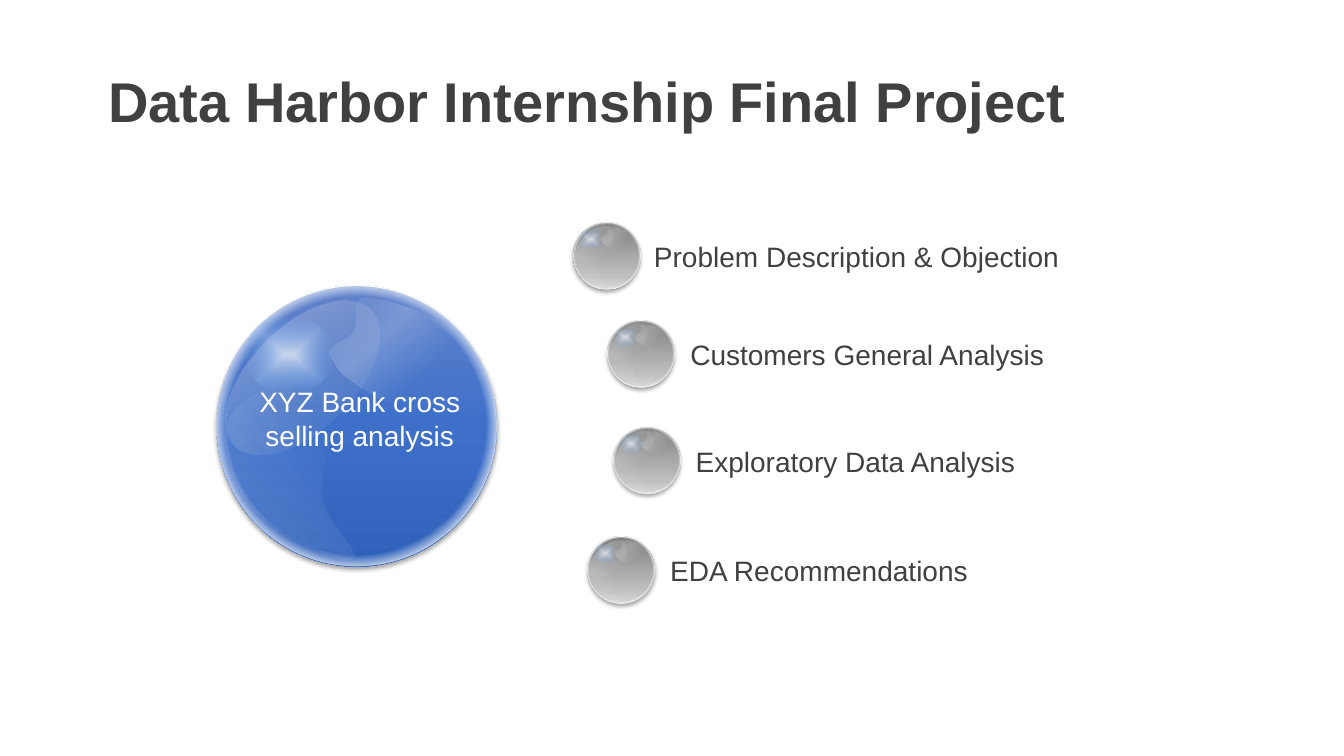
"""Build a title slide with one large glass ball and four bulleted topics."""
from dataclasses import dataclass
from typing import NamedTuple, Optional

from pptx import Presentation
from pptx.dml.color import RGBColor as RGB
from pptx.enum.shapes import MSO_SHAPE as Kind
from pptx.enum.text import MSO_AUTO_SIZE as Fit, PP_ALIGN as Align
from pptx.oxml import parse_xml
from pptx.oxml.ns import nsdecls, qn
from pptx.util import Pt

Point = tuple[float, float]


class Stop(NamedTuple):
    """Give a colour its place and opacity in percent."""
    pos: int
    color: str
    alpha: int = 100


@dataclass(frozen=True)
class Blend:
    """Describe a linear gradient, or a path one with its focus box."""
    stops: tuple[Stop, ...]
    angle: int = 90
    mode: str = ""
    focus: tuple[int, int, int, int] = (50, 50, 50, 50)


@dataclass(frozen=True)
class Theme:
    """Keep the colours and type sizes of the slide."""
    font: str = "Arial"
    ink: str = "404040"
    white: str = "FFFFFF"
    black: str = "000000"
    edge: str = "4472C4"
    head: int = 40
    body: int = 20
    blue: Blend = Blend((Stop(0, "6183CB"), Stop(50, "3E70CA"), Stop(100, "3062BB")))
    gray: Blend = Blend((Stop(0, "808080"), Stop(80, "BFBFBF"), Stop(100, "D9D9D9")))
    rim: Blend = Blend((Stop(0, "FFFFFF", 0), Stop(65, "FFFFFF", 0),
                        Stop(74, "FFFFFF")), mode="circle")
    sheen: Blend = Blend((Stop(0, "FFFFFF", 33), Stop(100, "B6B6B6", 0)))
    glint: Blend = Blend((Stop(0, "FFFFFF", 65), Stop(100, "67ABF5", 0)), mode="shape")
    wisp: Blend = Blend((Stop(50, "FFFFFF", 0), Stop(74, "FFFFFF", 19),
                         Stop(100, "FFFFFF", 0)), mode="circle", focus=(100, 100, 0, 0))
    swirl: Blend = Blend((Stop(0, "FFFFFF", 0), Stop(28, "FFFFFF", 0),
                          Stop(74, "FFFFFF", 11)), angle=142)
    glow: Blend = Blend((Stop(0, "FFFFFF", 33), Stop(20, "B6B6B6", 0)))


class Layer(NamedTuple):
    """Place one gloss layer on a ball 200 points wide."""
    blend: Blend
    box: tuple[float, ...] = ()
    turn: int = 0
    curve: tuple[Point, ...] = ()
    rim: bool = False


class Topic(NamedTuple):
    """Place one small ball and its label."""
    text: str
    left: float
    top: float
    start: float
    width: float


LOOK = Theme()
BASE = 200
SMALL = 47.7
WISP = (
    (106, 8), (95, 9), (102, 24), (98, 32), (95, 40), (72, 41), (84, 54),
    (88, 71), (152, 94), (158, 114), (165, 134), (159, 135), (166, 132),
    (172, 130), (195, 117), (195, 99), (195, 83), (181, 47), (166, 32),
    (152, 17), (118, 8), (106, 8))
SWIRL = (
    (66, 55), (60, 56), (41, 68), (31, 74), (21, 81), (10, 88), (8, 97),
    (4, 107), (8, 122), (11, 134), (15, 145), (23, 156), (31, 164),
    (41, 174), (55, 182), (66, 186), (77, 192), (96, 199), (98, 193),
    (100, 188), (79, 167), (76, 154), (72, 141), (79, 128), (77, 114),
    (75, 99), (65, 78), (64, 68), (62, 58), (71, 54), (66, 55))
GLOSS = (
    Layer(LOOK.rim, (-0.3, -0.4, 200, 200), rim=True),
    Layer(LOOK.sheen, (-7.5, 28, 137.5, 74), 315),
    Layer(LOOK.glint, (20, 20, 63.5, 57)),
    Layer(LOOK.wisp, curve=WISP),
    Layer(LOOK.swirl, curve=SWIRL),
    Layer(LOOK.glow, (75, 108.5, 137.5, 74), 135),
)
TOPICS = (
    Topic("Problem Description & Objection", 409.5, 159, 460, 307),
    Topic("Customers General Analysis", 434, 229, 486, 269),
    Topic("Exploratory Data Analysis", 438.5, 305.3, 489.8, 245),
    Topic("EDA Recommendations", 420, 383.5, 471.6, 235.5),
)


def paint(shape, blend: Blend) -> None:
    """Fill a shape with a blend and clear its line and shadow."""
    stops = "".join(
        f'<a:gs pos="{s.pos * 1000}"><a:srgbClr val="{s.color}">'
        f'<a:alpha val="{s.alpha * 1000}"/></a:srgbClr></a:gs>' for s in blend.stops)
    way = f'<a:lin ang="{blend.angle * 60000}" scaled="0"/>'
    if blend.mode:
        sides = " ".join(f'{k}="{v * 1000}"' for k, v in zip("ltrb", blend.focus))
        way = f'<a:path path="{blend.mode}"><a:fillToRect {sides}/></a:path>'
    shape.fill.gradient()
    old = shape._element.spPr.find(qn("a:gradFill"))
    old.getparent().replace(old, parse_xml(
        f'<a:gradFill {nsdecls("a")} rotWithShape="1">'
        f'<a:gsLst>{stops}</a:gsLst>{way}</a:gradFill>'))
    shape.line.fill.background()
    shape.shadow.inherit = False


def stroke(shape, color: str, alpha: int = 100) -> None:
    """Draw a thin line round a shape."""
    shape.line.width = Pt(0.5)
    shape.line.color.rgb = RGB.from_string(color)
    tint = shape.line._ln.find(".//" + qn("a:srgbClr"))
    tint.append(parse_xml(f'<a:alpha {nsdecls("a")} val="{alpha * 1000}"/>'))


def shade(shape) -> None:
    """Drop a soft shadow below a shape."""
    shape._element.spPr.find(qn("a:effectLst")).append(parse_xml(
        f'<a:outerShdw {nsdecls("a")} blurRad="{Pt(3.1)}" dist="{Pt(1.8)}" '
        f'dir="5400000" rotWithShape="0"><a:srgbClr val="{LOOK.black}">'
        '<a:alpha val="35000"/></a:srgbClr></a:outerShdw>'))


def bend(shapes, dots: list[tuple[int, int]]):
    """Build a closed outline of joined cubic curves."""
    knots = dots[::3]
    pen = shapes.build_freeform(*knots[0])
    pen.add_line_segments(knots[1:], close=True)
    shape = pen.convert_to_shape()
    left, top = (min(axis) for axis in zip(*knots))
    for i, side in enumerate(list(shape._element.iter(qn("a:lnTo")))):
        marks = "".join(f'<a:pt x="{x - left}" y="{y - top}"/>'
                        for x, y in dots[3 * i + 1:3 * i + 4])
        side.getparent().replace(side, parse_xml(
            f'<a:cubicBezTo {nsdecls("a")}>{marks}</a:cubicBezTo>'))
    return shape


def ball(slide, left: float, top: float, size: float, blend: Blend,
         edge: Optional[str] = None) -> None:
    """Draw a glass ball with its gloss layers."""
    core = slide.shapes.add_shape(Kind.OVAL, Pt(left), Pt(top), Pt(size), Pt(size))
    paint(core, blend)
    shade(core)
    if edge:
        stroke(core, edge)
    gloss = slide.shapes.add_group_shape().shapes
    scale = size / BASE
    for layer in GLOSS:
        if layer.curve:
            part = bend(gloss, [(Pt(left + x * scale), Pt(top + y * scale))
                                for x, y in layer.curve])
        else:
            x, y, w, h = (v * scale for v in layer.box)
            part = gloss.add_shape(Kind.OVAL, Pt(left + x), Pt(top + y), Pt(w), Pt(h))
            part.rotation = layer.turn
        paint(part, layer.blend)
        if layer.rim:
            stroke(part, LOOK.white, 25)


def write(slide, text: str, box: tuple[float, ...], color: str, size: int,
          bold: bool = False, wrap: bool = True, align: Align = Align.LEFT,
          inset: float = 7.2) -> None:
    """Add a text box in the theme font."""
    frame = slide.shapes.add_textbox(*map(Pt, box)).text_frame
    para = frame.paragraphs[0]
    para.alignment = align
    run = para.add_run()
    run.text = text
    run.font.color.rgb = RGB.from_string(color)
    looks = {
        frame: {"word_wrap": wrap, "auto_size": Fit.SHAPE_TO_FIT_TEXT,
                "margin_left": Pt(inset)},
        run.font: {"name": LOOK.font, "size": Pt(size), "bold": bold},
    }
    for item, values in looks.items():
        for key, value in values.items():
            setattr(item, key, value)


def main() -> None:
    """Build the slide and save it."""
    deck = Presentation()
    deck.slide_width, deck.slide_height = Pt(960), Pt(540)
    slide = deck.slides.add_slide(deck.slide_layouts[6])
    write(slide, "Data Harbor Internship Final Project", (48, 44, 792, 55.5),
          LOOK.ink, LOOK.head, bold=True, inset=29.5)
    ball(slide, 154.8, 204.7, BASE, LOOK.blue, LOOK.edge)
    for topic in TOPICS:
        ball(slide, topic.left, topic.top, SMALL, LOOK.gray)
    for topic in TOPICS:
        write(slide, topic.text, (topic.start, topic.top + 8.4, topic.width, 31.5),
              LOOK.ink, LOOK.body, wrap=False)
    write(slide, "XYZ Bank cross selling analysis", (172, 271.2, 170, 55.5),
          LOOK.white, LOOK.body, align=Align.CENTER)
    deck.save("out.pptx")


if __name__ == "__main__":
    main()
